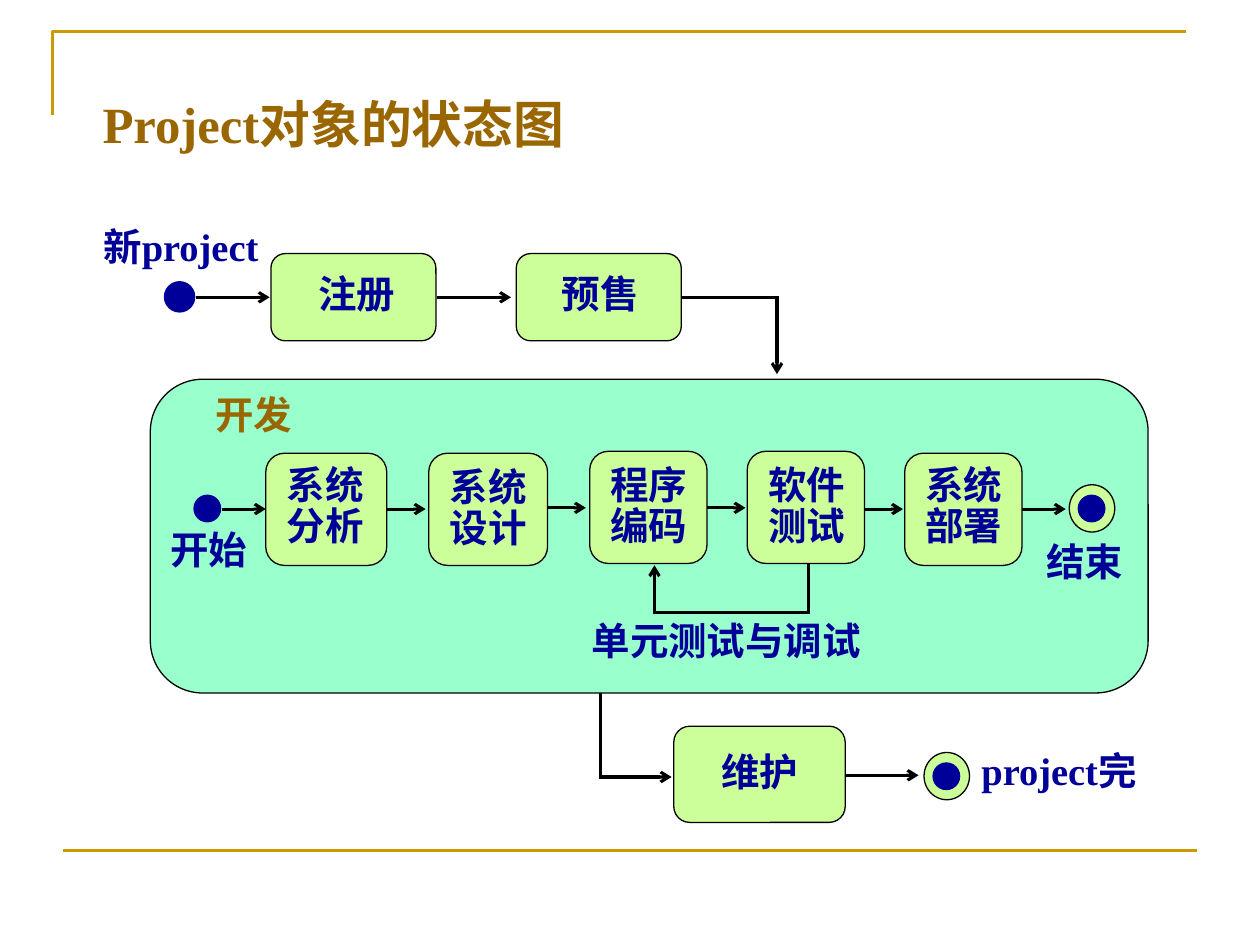
"""Builds the state diagram slide of the Project object."""
import pptx
import pptx.dml.color
import pptx.enum.shapes
import pptx.enum.text
import pptx.oxml.ns
import pptx.util
import lxml.etree

Pt = pptx.util.Pt
KIND = pptx.enum.shapes.MSO_SHAPE
ALIGN = pptx.enum.text.PP_ALIGN
qn = pptx.oxml.ns.qn


def color(value):
    return pptx.dml.color.RGBColor.from_string(value)


class Diagram:
    gold, brown, navy, black = "CC9900", "996600", "000099", "000000"
    lime, mint = "CCFF99", "99FFCC"
    font = "Times New Roman"

    def __init__(self, slide):
        self.shapes = slide.shapes

    def shape(self, kind, left, top, width, height, fill, line):
        shape = self.shapes.add_shape(kind, Pt(left), Pt(top), Pt(width), Pt(height))
        shape.shadow.inherit = False
        shape.fill.solid()
        shape.fill.fore_color.rgb = color(fill)
        shape.line.color.rgb = color(line)
        shape.line.width = Pt(0.75)

    def state(self, left, top, width, height, fill=lime):
        self.shape(KIND.ROUNDED_RECTANGLE, left, top, width, height, fill, self.black)

    def dot(self, left, top, size):
        self.shape(KIND.OVAL, left, top, size, size, self.navy, self.navy)

    def final(self, left, top):
        self.shape(KIND.OVAL, left, top, 26, 27, self.lime, self.black)
        self.dot(left + 5.2, top + 6, 15.2)

    def text(self, lines, left, top, width=58.4, height=34, ink=navy, size=22,
             spacing=1, align=ALIGN.CENTER):
        box = self.shapes.add_textbox(Pt(left), Pt(top), Pt(width), Pt(height))
        frame = box.text_frame
        frame.word_wrap = False
        frame.text = lines
        for paragraph in frame.paragraphs:
            paragraph.alignment = align
            paragraph.line_spacing = spacing
            paragraph.font.name = self.font
            paragraph.font.size = Pt(size)
            paragraph.font.bold = True
            paragraph.font.color.rgb = color(ink)

    def line(self, x1, y1, x2, y2, arrow=False, ink=black, width=1.75):
        line = self.shapes.add_connector(
            pptx.enum.shapes.MSO_CONNECTOR.STRAIGHT, Pt(x1), Pt(y1), Pt(x2), Pt(y2))
        line.line.color.rgb = color(ink)
        line.line.width = Pt(width)
        if arrow:
            lxml.etree.SubElement(line.line._get_or_add_ln(), qn("a:tailEnd"), type="arrow")
        lxml.etree.SubElement(line._element.spPr, qn("a:effectLst"))

    def corner(self, *points):
        builder = self.shapes.build_freeform(*map(Pt, points[0]))
        builder.add_line_segments([tuple(map(Pt, point)) for point in points[1:]], close=False)
        corner = builder.convert_to_shape()
        corner.shadow.inherit = False
        corner.fill.background()
        corner.line.color.rgb = color(self.gold)
        corner.line.width = Pt(1.5)


def main():
    deck = pptx.Presentation()
    deck.slide_width, deck.slide_height = Pt(720), Pt(540)
    diagram = Diagram(deck.slides.add_slide(deck.slide_layouts[6]))

    diagram.corner((30, 66), (30, 18), (678, 18))
    diagram.line(36, 486, 684, 486, ink=diagram.gold, width=1.5)
    diagram.text("Project对象的状态图", 51.5, 49.2, 600, 49.7, diagram.brown, 29,
                 align=ALIGN.LEFT)

    diagram.text("新project", 49, 124, 108.7)
    diagram.dot(94, 161, 17.3)
    for name, left, label_left in (("注册", 154.8, 174.7), ("预售", 295, 313.9)):
        diagram.state(left, 144.9, 94.3, 49.9)
        diagram.text(name, label_left, 150.5)
    for start, end in ((112, 154.1), (249.8, 292)):
        diagram.line(start, 169.9, end, 169.9, arrow=True)
    diagram.line(390, 169.9, 445, 169.9)
    diagram.line(444, 169.2, 444, 213.8, arrow=True)

    diagram.state(85.9, 216.7, 570.2, 179.3, diagram.mint)
    diagram.text("开发", 115.9, 220, ink=diagram.brown)
    diagram.dot(110.9, 283, 15.2)
    diagram.text("开始", 90, 297)
    phases = (
        ("系统\n分析", 151.9, 259, 69.1, 262.8),
        ("系统\n设计", 245, 259, 67.9, 264),
        ("程序\n编码", 337, 257.9, 67, 262.8),
        ("软件\n测试", 427, 257.9, 67, 262.8),
        ("系统\n部署", 517, 259, 67, 262.8),
    )
    for name, left, top, width, label_top in phases:
        diagram.state(left, top, width, 64.1)
        diagram.text(name, left + 4.7, label_top, height=54.7, spacing=0.9)
    steps = ((126.7, 151.9, 290.9), (221, 243.2, 290.9), (313.2, 334.8, 290.2),
             (403.9, 426, 290.2), (493.9, 516, 290.9), (583.9, 609, 290.9))
    for start, end, y in steps:
        diagram.line(start, y, end, y, arrow=True)
    diagram.final(611, 277)
    diagram.text("结束", 590.8, 303.8)

    diagram.line(462, 321.8, 462, 351)
    diagram.line(462, 349.9, 373, 349.9)
    diagram.line(374, 349.9, 374, 323, arrow=True)
    diagram.text("单元测试与调试", 325, 349, 180)

    diagram.line(343, 396, 343, 444.2)
    diagram.line(342, 444, 383.8, 444, arrow=True)
    diagram.state(385, 415, 98, 55)
    diagram.text("维护", 404.8, 427, height=31, spacing=0.9)
    diagram.line(483.1, 443, 524.9, 443, arrow=True)
    diagram.final(528, 430)
    diagram.text("project完", 550.8, 423.4, 108.7)

    deck.save("out.pptx")


if __name__ == "__main__":
    main()
